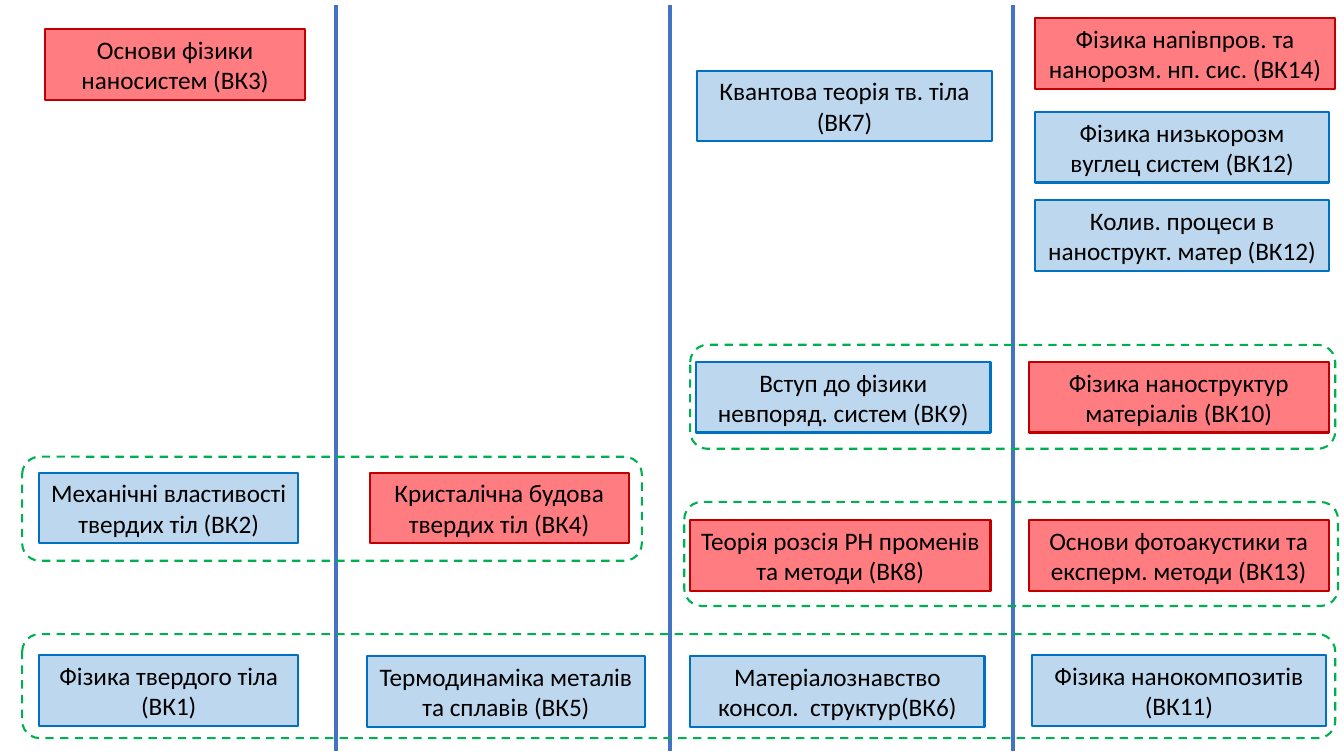
from pptx import Presentation
from pptx.dml.color import RGBColor
from pptx.enum.dml import MSO_LINE
from pptx.enum.shapes import MSO_CONNECTOR, MSO_SHAPE
from pptx.enum.text import MSO_ANCHOR, MSO_AUTO_SIZE, PP_ALIGN
from pptx.oxml.ns import qn
from pptx.util import Cm, Pt
from lxml.etree import SubElement

BLACK = RGBColor(0x00, 0x00, 0x00)
DIVIDER = RGBColor(0x44, 0x72, 0xC4)
GROUP = RGBColor(0x00, 0xB0, 0x50)
BLUE = (RGBColor(0xBD, 0xD7, 0xEE), RGBColor(0x00, 0x70, 0xC0))
RED = (RGBColor(0xFF, 0x7C, 0x80), RGBColor(0xC0, 0x00, 0x00))
COURSE_H = 1.78
GROUP_H = 2.62

prs = Presentation()
prs.slide_width, prs.slide_height = Cm(33.88), Cm(19.05)
s = prs.slides.add_slide(prs.slide_layouts[6])

# Semester dividers
for x in (8.48, 16.89, 25.53):
    line = s.shapes.add_connector(MSO_CONNECTOR.STRAIGHT, Cm(x), Cm(0.13), Cm(x), Cm(18.92))
    line.line.color.rgb = DIVIDER
    line.line.width = Pt(3)
    SubElement(line._element.spPr, qn("a:effectLst"))

# Courses: left, top, width, colours, title
courses = [
    (0.99, 16.51, 6.53, BLUE, "Фізика твердого тіла (ВК1)"),
    (0.99, 11.91, 6.53, BLUE, "Механічні властивості твердих тіл (ВК2)"),
    (1.14, 0.74, 6.55, RED, "Основи фізики наносистем (ВК3)"),
    (9.32, 11.91, 6.53, RED, "Кристалічна будова твердих тіл (ВК4)"),
    (9.25, 16.54, 7.01, BLUE, "Термодинаміка металів та сплавів (ВК5)"),
    (17.4, 13.11, 7.57, RED, "Теорія розсія РН променів та методи (ВК8)"),
    (17.4, 16.54, 7.42, BLUE, "Матеріалознавство консол.  структур(ВК6)"),
    (17.58, 1.78, 7.42, BLUE, "Квантова теорія тв. тіла (ВК7)"),
    (17.55, 9.12, 7.42, BLUE, "Вступ до фізики невпоряд. систем (ВК9)"),
    (25.93, 9.12, 7.57, RED, "Фізика наноструктур матеріалів (ВК10)"),
    (25.93, 13.11, 7.57, RED, "Основи фотоакустики та експерм. методи (ВК13)"),
    (26.09, 0.46, 7.57, RED, "Фізика напівпров. та нанорозм. нп. сис. (ВК14)"),
    (26.01, 16.51, 7.42, BLUE, "Фізика нанокомпозитів (ВК11)"),
    (26.09, 5.05, 7.42, BLUE, "Колив. процеси в нанострукт. матер (ВК12)"),
    (26.09, 2.82, 7.42, BLUE, "Фізика низькорозм вуглец систем (ВК12)"),
]
for x, y, w, (fill, border), title in courses:
    sp = s.shapes.add_shape(MSO_SHAPE.RECTANGLE, Cm(x), Cm(y), Cm(w), Cm(COURSE_H))
    sp.shadow.inherit = False
    sp.fill.solid()
    sp.fill.fore_color.rgb = fill
    sp.line.color.rgb = border
    sp.line.width = Pt(1.5)
    tf = sp.text_frame
    tf.word_wrap = True
    tf.auto_size = MSO_AUTO_SIZE.SHAPE_TO_FIT_TEXT
    tf.vertical_anchor = MSO_ANCHOR.TOP
    p = tf.paragraphs[0]
    p.alignment = PP_ALIGN.CENTER
    r = p.add_run()
    r.text = title
    r.font.name = "Calibri"
    r.font.size = Pt(18)
    r.font.color.rgb = BLACK

# Dashed frames around related courses: left, top, width
for x, y, w in [(0.56, 15.98, 33.1), (0.56, 11.51, 15.62),
                (17.4, 8.69, 16.26), (17.25, 12.65, 16.48)]:
    sp = s.shapes.add_shape(MSO_SHAPE.ROUNDED_RECTANGLE, Cm(x), Cm(y), Cm(w), Cm(GROUP_H))
    sp.shadow.inherit = False
    sp.fill.background()
    sp.line.color.rgb = GROUP
    sp.line.width = Pt(1.5)
    sp.line.dash_style = MSO_LINE.DASH

prs.save("out.pptx")
